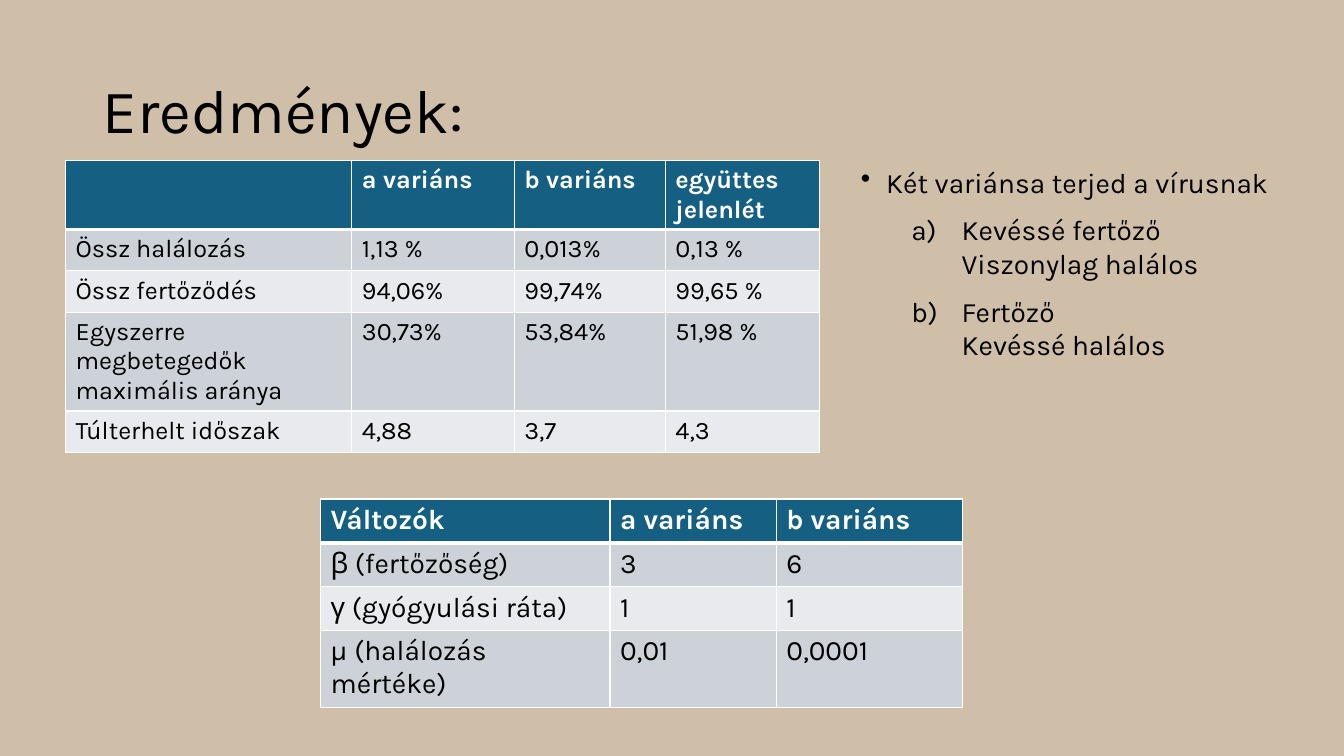
import dataclasses

import pptx
import pptx.dml.color
import pptx.enum.text
import pptx.oxml
import pptx.oxml.ns
import pptx.slide
import pptx.table
import pptx.text.text
import pptx.util
from lxml import etree
from pptx.util import Inches

FONT = "Karla"
BLACK, WHITE = "000000", "FFFFFF"
SAND, TEAL, BAND_DARK, BAND_LIGHT = "CFBFA9", "156082", "CCD2D8", "E8EAED"
THIN, THICK = 1, 3


@dataclasses.dataclass
class DataTable:
    left: float
    top: float
    height: float
    columns: list[float]
    row_heights: list[float]
    size: int
    rows: list[list[str]]


@dataclasses.dataclass
class ListItem:
    text: str
    level: int
    margin: float
    indent: float
    bullet: str
    value: dict[str, str]


RESULTS = DataTable(0.65, 1.59, 2.92, [2.84, 1.61, 1.5, 1.53], [0.41] * 5, 18, [
    ["", "a variáns", "b variáns", "együttes jelenlét"],
    ["Össz halálozás", "1,13 %", "0,013%", "0,13 %"],
    ["Össz fertőződés", "94,06%", "99,74%", "99,65 %"],
    ["Egyszerre megbetegedők maximális aránya", "30,73%", "53,84%", "51,98 %"],
    ["Túlterhelt időszak", "4,88", "3,7", "4,3"],
])
VARIABLES = DataTable(3.18, 4.95, 1.95, [2.87, 1.65, 1.85], [0.37, 0.37, 0.37, 0.65], 20, [
    ["Változók", "a variáns", "b variáns"],
    ["β (fertőzőség)", "3", "6"],
    ["γ (gyógyulási ráta)", "1", "1"],
    ["μ (halálozás mértéke)", "0,01", "0,0001"],
])
LETTERED = {"type": "alphaLcParenR"}
ITEMS = [
    ListItem("Két variánsa terjed a vírusnak", 0, 0.25, -0.25, "a:buChar", {"char": "•"}),
    ListItem("Kevéssé fertőző\vViszonylag halálos", 1, 1, -0.5, "a:buAutoNum", LETTERED),
    ListItem("Fertőző\vKevéssé halálos", 1, 1, -0.5, "a:buAutoNum", LETTERED),
]


def rgb(color: str) -> pptx.dml.color.RGBColor:
    return pptx.dml.color.RGBColor.from_string(color)


def format_text(para: pptx.text.text._Paragraph, size: int, color: str, bold: bool = False) -> None:
    for span in para.runs:
        for name, value in {"name": FONT, "size": pptx.util.Pt(size), "bold": bold}.items():
            setattr(span.font, name, value)
        span.font.color.rgb = rgb(color)


def set_borders(cell: pptx.table._Cell, row: int) -> None:
    widths = {"L": THIN, "R": THIN, "T": THICK if row == 1 else THIN, "B": THICK if row == 0 else THIN}
    properties = cell._tc.get_or_add_tcPr()
    for position, (side, width) in enumerate(widths.items()):
        line = pptx.oxml.parse_xml(
            f'<a:ln{side} {pptx.oxml.ns.nsdecls("a")} w="{pptx.util.Pt(width)}">'
            f'<a:solidFill><a:srgbClr val="{WHITE}"/></a:solidFill></a:ln{side}>')
        properties.insert(position, line)


def draw_table(slide: pptx.slide.Slide, data: DataTable) -> None:
    frame = slide.shapes.add_table(
        len(data.rows), len(data.columns), Inches(data.left), Inches(data.top),
        Inches(sum(data.columns)), Inches(data.height))
    table = frame.table
    for column, width in zip(table.columns, data.columns):
        column.width = Inches(width)
    for row, height in zip(table.rows, data.row_heights):
        row.height = Inches(height)
    frame.height = Inches(data.height)
    for row_index, texts in enumerate(data.rows):
        header = row_index == 0
        fill = TEAL if header else (BAND_LIGHT, BAND_DARK)[row_index % 2]
        for column_index, text in enumerate(texts):
            cell = table.cell(row_index, column_index)
            cell.fill.solid()
            cell.fill.fore_color.rgb = rgb(fill)
            set_borders(cell, row_index)
            if text:
                cell.text = text
                format_text(cell.text_frame.paragraphs[0], data.size, WHITE if header else BLACK, header)


def draw_list(slide: pptx.slide.Slide, items: list[ListItem]) -> None:
    box = slide.shapes.add_textbox(Inches(8.44), Inches(1.59), Inches(4.89), Inches(2.16))
    box.text_frame.word_wrap = True
    for index, item in enumerate(items):
        para = box.text_frame.add_paragraph() if index else box.text_frame.paragraphs[0]
        para.text = item.text
        para.level = item.level
        para.space_before = pptx.util.Pt(10)
        format_text(para, 20, BLACK)
        properties = para._p.get_or_add_pPr()
        properties.set("marL", str(Inches(item.margin)))
        properties.set("indent", str(Inches(item.indent)))
        etree.SubElement(properties, pptx.oxml.ns.qn(item.bullet), item.value)


def draw_title(slide: pptx.slide.Slide, text: str) -> None:
    title = slide.shapes.title
    place = {"left": 0.92, "top": 0.4, "width": 11.5, "height": 1.45}
    for name, value in place.items():
        setattr(title, name, Inches(value))
    title.text_frame.text = text
    title.text_frame.vertical_anchor = pptx.enum.text.MSO_ANCHOR.MIDDLE
    para = title.text_frame.paragraphs[0]
    para.alignment = pptx.enum.text.PP_ALIGN.LEFT
    para.line_spacing = 0.9
    format_text(para, 44, BLACK)


def main() -> None:
    deck = pptx.Presentation()
    deck.slide_width, deck.slide_height = Inches(13.33), Inches(7.5)

    # Page and title
    page = deck.slides.add_slide(deck.slide_layouts[5])
    page.background.fill.solid()
    page.background.fill.fore_color.rgb = rgb(SAND)
    draw_title(page, "Eredmények:")

    # Results, description of the variants, and model variables
    draw_table(page, RESULTS)
    draw_list(page, ITEMS)
    draw_table(page, VARIABLES)

    deck.save("out.pptx")


if __name__ == "__main__":
    main()
